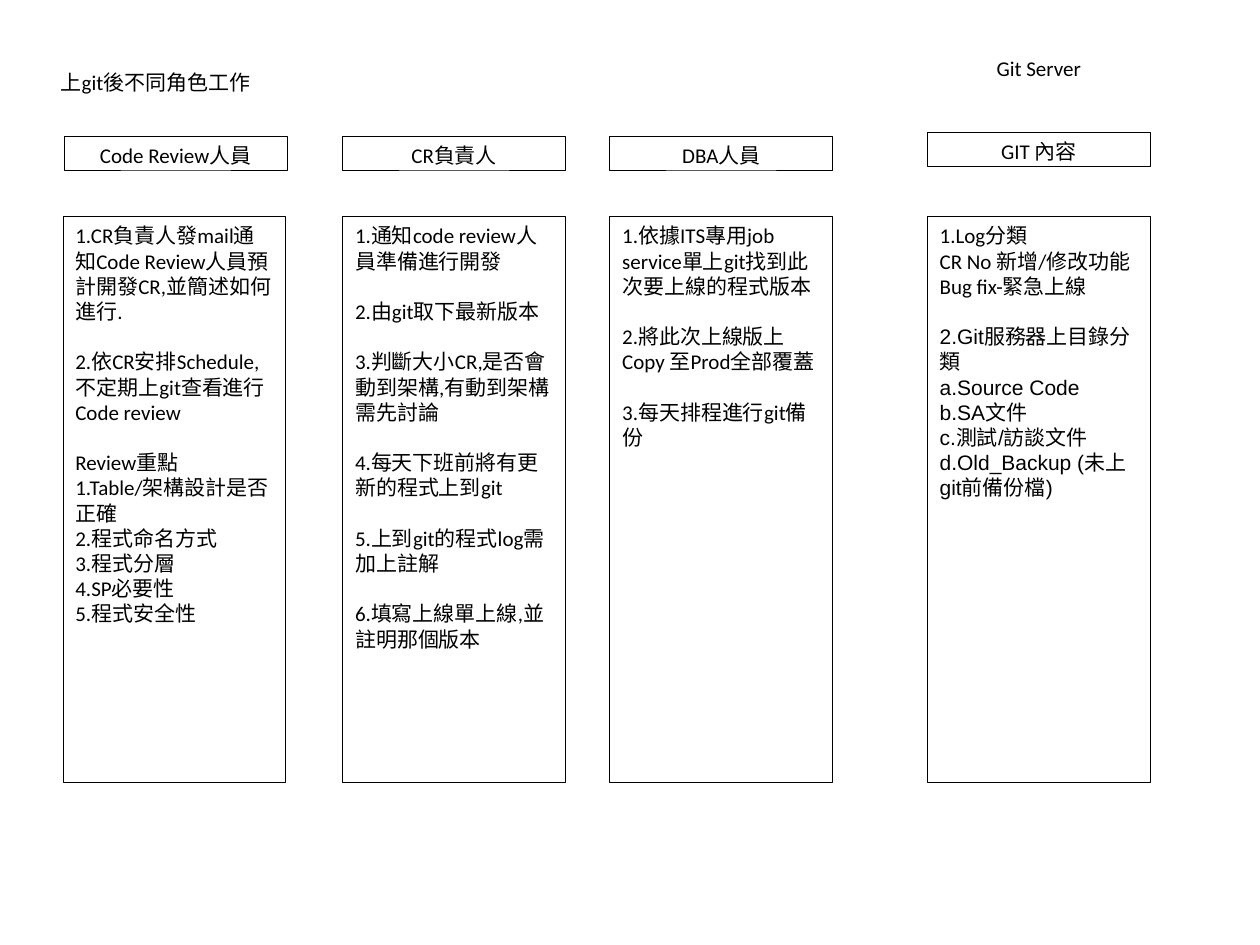
from pptx import Presentation
from pptx.dml.color import RGBColor
from pptx.enum.shapes import MSO_SHAPE
from pptx.enum.text import MSO_ANCHOR, PP_ALIGN
from pptx.util import Inches, Pt

RECTANGLE = MSO_SHAPE.RECTANGLE
TOP = MSO_ANCHOR.TOP
LEFT, CENTER = PP_ALIGN.LEFT, PP_ALIGN.CENTER
BLACK, WHITE = "000000", "FFFFFF"
BODY_FONT, DIRECTORY_FONT = "Calibri", "Arial"
COLUMN_WIDTH, LABEL_HEIGHT, BODY_HEIGHT = 1.77, 0.27, 4.49
HEADER_TOP, BODY_TOP = 1.08, 1.72
GROUP_GAP = 14.4

REVIEWER_TASKS = [
    ["1.CR負責人發mail通知Code Review人員預計開發CR,並簡述如何進行."],
    ["2.依CR安排Schedule,不定期上git查看進行Code review"],
    ["Review重點", "1.Table/架構設計是否正確", "2.程式命名方式",
     "3.程式分層", "4.SP必要性", "5.程式安全性"],
]
OWNER_TASKS = [
    ["1.通知code review人員準備進行開發"],
    ["2.由git取下最新版本"],
    ["3.判斷大小CR,是否會動到架構,有動到架構需先討論"],
    ["4.每天下班前將有更新的程式上到git"],
    ["5.上到git的程式log需加上註解"],
    ["6.填寫上線單上線,並註明那個版本"],
]
DBA_TASKS = [
    ["1.依據ITS專用job service單上git找到此次要上線的程式版本"],
    ["2.將此次上線版上Copy 至Prod全部覆蓋"],
    ["3.每天排程進行git備份"],
]
GIT_CONTENTS = [
    ["1.Log分類", "CR No 新增/修改功能", "Bug fix-緊急上線"],
    ["2.Git服務器上目錄分類", "a.Source Code", "b.SA文件",
     "c.測試/訪談文件", "d.Old_Backup (未上git前備份檔)"],
]


def color(value):
    """Return the colour for a hex string."""
    return RGBColor.from_string(value)


def add_box(page, left, top, height, groups, align=LEFT, outlined=True, fonts=(BODY_FONT,)):
    """Add a box of paragraph groups; the last font serves all later groups."""
    box = page.shapes.add_shape(
        RECTANGLE, Inches(left), Inches(top), Inches(COLUMN_WIDTH), Inches(height))
    box.shadow.inherit = False
    box.fill.solid()
    box.fill.fore_color.rgb = color(WHITE)
    if outlined:
        box.line.color.rgb = color(BLACK)
        box.line.width = Pt(0.5)
    else:
        box.line.fill.background()
    frame = box.text_frame
    frame.word_wrap = True
    frame.vertical_anchor = TOP
    for group_index, group in enumerate(groups):
        for line_index, text in enumerate(group):
            first = group_index == line_index == 0
            para = frame.paragraphs[0] if first else frame.add_paragraph()
            para.text = text
            para.alignment = align
            if group_index and not line_index:
                para.space_before = Pt(GROUP_GAP)
            para.font.name = fonts[min(group_index, len(fonts) - 1)]
            para.font.size = Pt(12)
            para.font.color.rgb = color(BLACK)


def add_label(page, left, top, text, outlined=True):
    """Add a one-line centred label."""
    add_box(page, left, top, LABEL_HEIGHT, [[text]], CENTER, outlined)


def add_column(page, left, heading, groups, header_top=HEADER_TOP, body_shift=0, fonts=(BODY_FONT,)):
    """Add a heading with its list box below."""
    add_label(page, left, header_top, heading)
    add_box(page, left + body_shift, BODY_TOP, BODY_HEIGHT, groups, fonts=fonts)


def build_roles_page(deck):
    """Add the page of role columns and the server column."""
    page = deck.slides.add_slide(deck.slide_layouts[6])
    add_label(page, 0.35, 0.5, "上git後不同角色工作", outlined=False)
    add_label(page, 7.36, 0.39, "Git Server", outlined=False)
    add_column(page, 0.51, "Code Review人員", REVIEWER_TASKS, body_shift=-0.01)
    add_column(page, 2.72, "CR負責人", OWNER_TASKS)
    add_column(page, 4.84, "DBA人員", DBA_TASKS)
    add_column(page, 7.36, "GIT 內容", GIT_CONTENTS, header_top=1.05,
               fonts=(BODY_FONT, DIRECTORY_FONT))


deck = Presentation()
deck.slide_width, deck.slide_height = Inches(10), Inches(7.5)
build_roles_page(deck)
deck.save("out.pptx")
